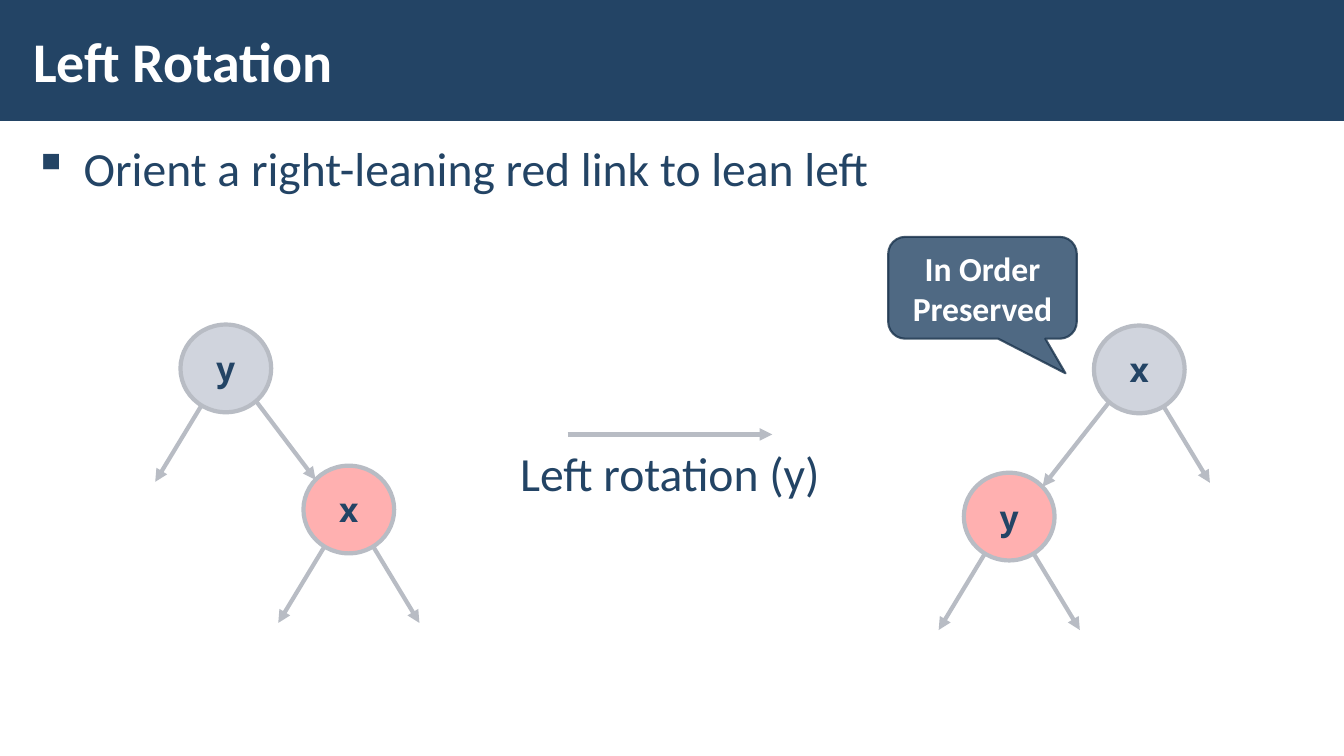
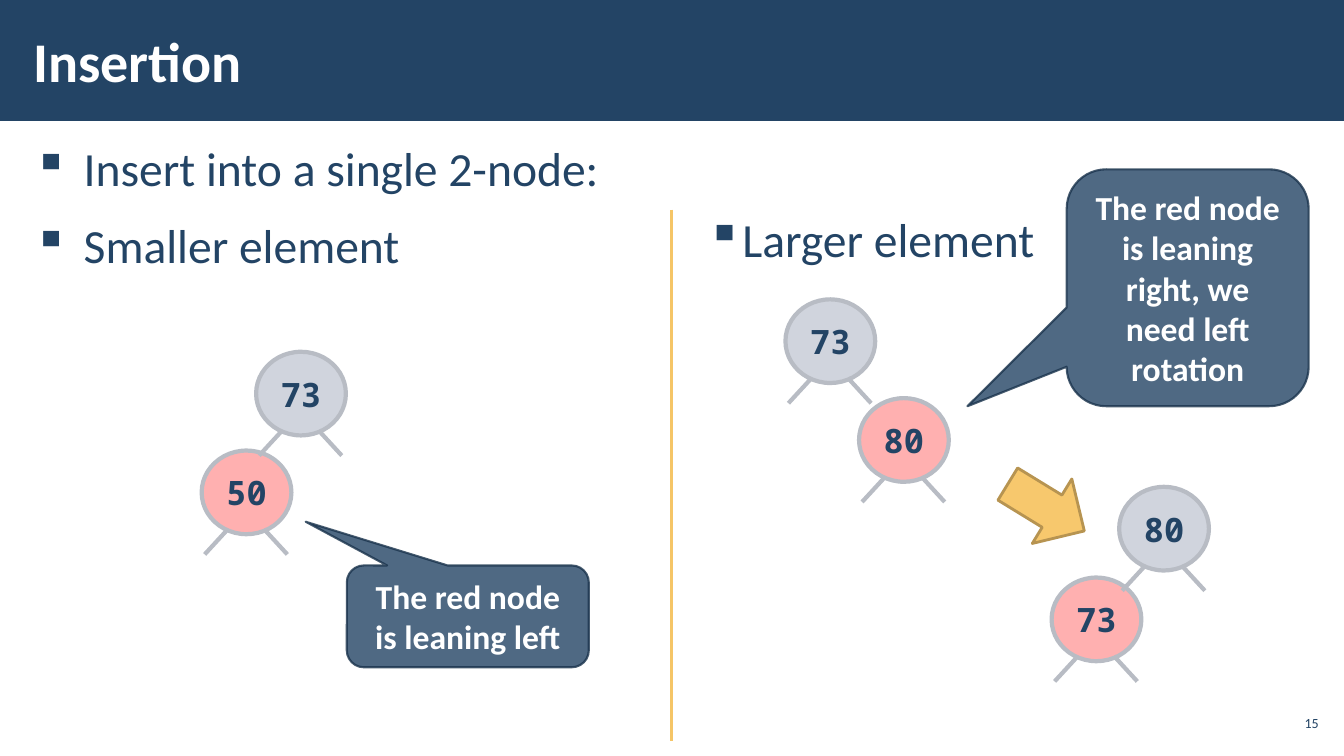
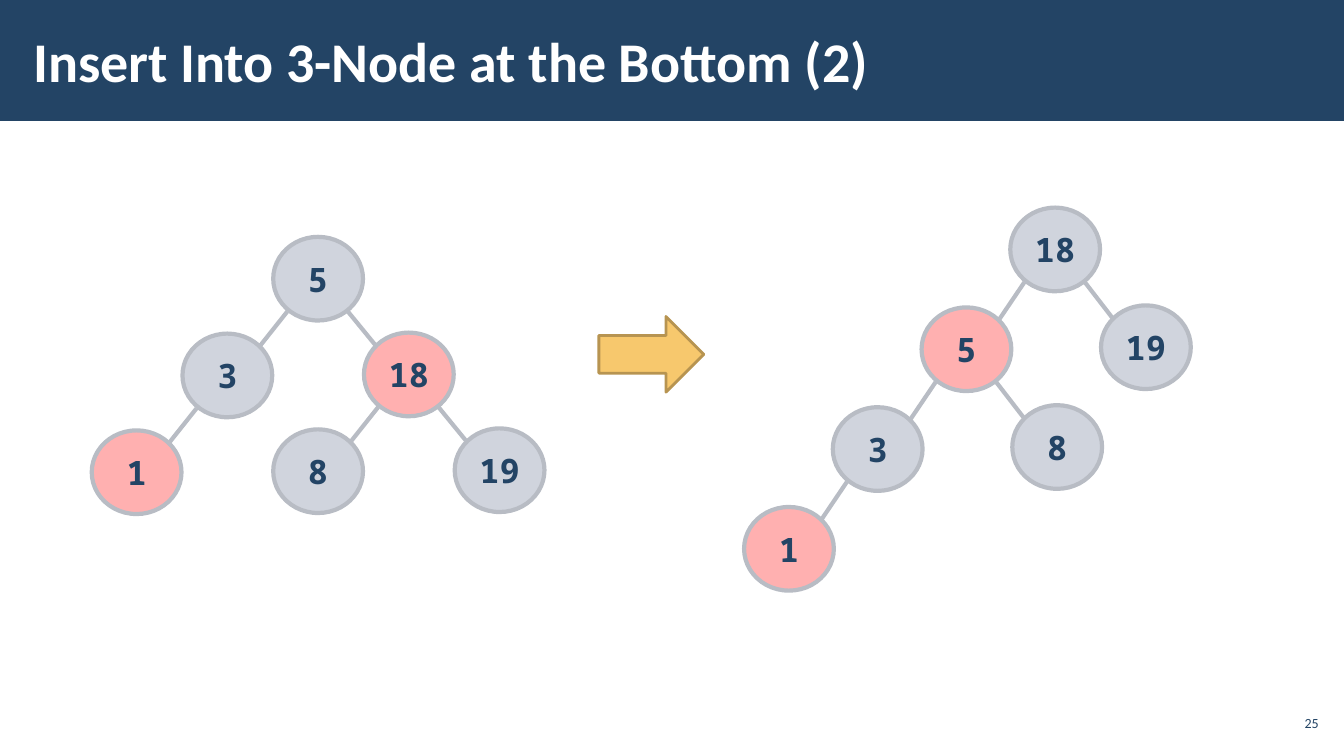
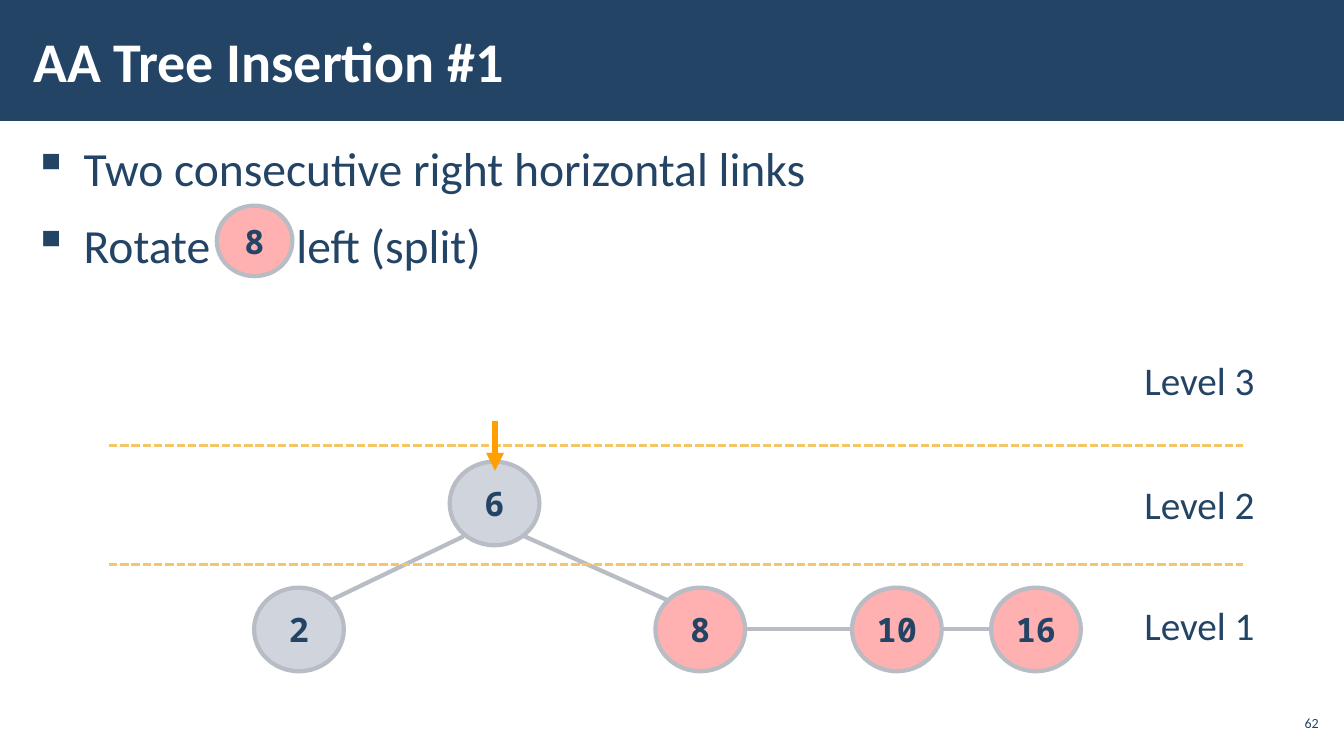
from lxml import etree
from pptx import Presentation
from pptx.dml.color import RGBColor
from pptx.enum import dml, shapes, text
from pptx.oxml.ns import qn
from pptx.util import Pt

PX = 9144  # EMU per px, 100 px to the inch
NAVY, WHITE, GOLD, ORANGE = "234465", "FFFFFF", "F5C567", "FFA000"
GREY, RED, EDGE = "A3ABBC", "FFB0B0", "B8BCC4"
ARROW_FILL, ARROW_LINE, CALLOUT_LINE = "F7C86D", "B79451", "1A334C"
LEFT, CENTER, RIGHT = text.PP_ALIGN.LEFT, text.PP_ALIGN.CENTER, text.PP_ALIGN.RIGHT
TOP, MIDDLE = text.MSO_ANCHOR.TOP, text.MSO_ANCHOR.MIDDLE
BODY = (21, 131, 1292, 569)
OVAL, LARGE_OVAL, SMALL_OVAL = (89, 83), (90, 87), (75, 70)
GAP = 5380  # hundredths of a point added to a space where a node sits in the text


def paint(fill, color, opacity=100):
    fill.solid()
    fill.fore_color.rgb = RGBColor.from_string(color)
    if opacity < 100:
        color_element = fill._xPr.find(qn("a:solidFill"))[0]
        etree.SubElement(color_element, qn("a:alpha"), val=str(opacity * 1000))


def write(paragraph, words, size, color, font="Calibri", bold=False):
    run = paragraph.add_run()
    run.text = words
    run.font.name, run.font.size, run.font.bold = font, Pt(size), bold
    paint(run.font.fill, color)
    return run


# Bullets: box, indent, lines made of runs
# Trees: root place, node size, step of each move, nodes keyed by moves from the root
# Stub: how far a childless link reaches sideways and down
# Lines: colour, width, dashed, arrowhead, end points
# Labels: words, box, size, alignment, line spacing
pages = [
    {
        "title": "Left Rotation",
        "bullets": [(BODY, 50, [["Orient a right-leaning red link to lean left"]])],
        "trees": [
            ((179, 322), LARGE_OVAL, {"R": (122, 140)}, {"": ("y", GREY), "R": ("x", RED)}),
            ((1085, 323), LARGE_OVAL, {"L": (-129, 146)}, {"": ("x", GREY), "L": ("y", RED)}),
        ],
        "stub": (70, 113),
        "arrowheads": True,
        "lines": [(EDGE, 3, False, True, (563, 431, 766, 431))],
        "labels": [("Left rotation (y)", (429, 441, 471, 65), 34, CENTER, 0.95)],
        "callouts": [("In Order Preserved", (881, 235, 187, 101), (0.44, 0.84))],
    },
    {
        "title": "Insertion",
        "number": "15",
        "bullets": [
            (BODY, 50, [["Insert into a single 2-node:"], ["Smaller element"]]),
            ((689, 201, 595, 534), 33, [["Larger element"]]),
        ],
        "trees": [
            ((254, 349), OVAL, {"L": (-54, 98)}, {"": ("73", GREY), "L": ("50", RED)}),
            ((779, 297), OVAL, {"R": (73, 98)}, {"": ("73", GREY), "R": ("80", RED)}),
            ((1110, 483), OVAL, {"L": (-67, 90)}, {"": ("80", GREY), "L": ("73", RED)}),
        ],
        "stub": (41, 62),
        "stubs_only": True,
        "lines": [(GOLD, 2, False, False, (666, 208, 666, 735))],
        "callouts": [
            ("The red node is leaning left", (344, 561, 240, 101), (-0.67, -0.93)),
            ("The red node is leaning right, we need left rotation",
             (1058, 168, 240, 235), (-0.91, 0.5)),
        ],
        "arrows": [((993, 466, 89, 75), 31.5)],
    },
    {
        "title": "Insert Into 3-Node at the Bottom (2)",
        "number": "25",
        "trees": [
            ((271, 235), OVAL, {"L": (-90, 96), "R": (90, 95)}, {
                "": ("5", GREY), "L": ("3", GREY), "R": ("18", RED),
                "LL": ("1", RED), "RL": ("8", GREY), "RR": ("19", GREY),
            }),
            ((1002, 206), OVAL, {"L": (-88, 99), "R": (90, 97)}, {
                "": ("18", GREY), "L": ("5", RED), "R": ("19", GREY),
                "LL": ("3", GREY), "LR": ("8", GREY), "LLL": ("1", RED),
            }),
        ],
        "arrows": [((594, 314, 104, 75), 0)],
    },
    {
        "title": "AA Tree Insertion #1",
        "number": "62",
        "bullets": [(BODY, 50, [
            ["Two consecutive right horizontal links"],
            ["Rotate", " ", "left (split)"],
        ])],
        "trees": [
            ((446, 458), OVAL,
             {"L": (-194, 125), "R": (204, 125), "H": (195, 0), "S": (138, 0)}, {
                 "": ("6", GREY), "L": ("2", GREY), "R": ("8", RED),
                 "RH": ("10", RED), "RHS": ("16", RED),
             }),
            ((215, 204), SMALL_OVAL, {}, {"": ("8", RED)}),
        ],
        "lines": [(GOLD, 2, True, False, (108, y, 1233, y)) for y in (560, 442)]
        + [(ORANGE, 4.25, False, True, (491, 418, 491, 467))],
        "labels": [
            (f"Level {level}", (1123, top, 160, 57), 28, LEFT, 1)
            for level, top in ((1, 593), (2, 473), (3, 349))
        ],
    },
]

presentation = Presentation()
presentation.slide_width, presentation.slide_height = 1333 * PX, 750 * PX

for page in pages:
    slide = presentation.slides.add_slide(presentation.slide_layouts[6])

    # Title band
    band = slide.shapes.add_shape(shapes.MSO_SHAPE.RECTANGLE, 0, 0, 1333 * PX, 120 * PX)
    band.shadow.inherit = False
    paint(band.fill, NAVY)
    band.line.fill.background()

    # Text boxes: box, lines, size, colour, alignment, anchor, margin, spacing, indent
    boxes = [((21, 11, 1040, 97), [[page["title"]]], 40, WHITE, LEFT, MIDDLE, 12, 1, 0)]
    for box, indent, lines in page.get("bullets", []):
        boxes.append((box, lines, 34, NAVY, LEFT, TOP, 12, 1.05, indent))
    for words, box, size, align, spacing in page.get("labels", []):
        boxes.append((box, [[words]], size, NAVY, align, TOP, 12, spacing, 0))
    if "number" in page:
        boxes.append(((1265, 700, 47, 34), [[page["number"]]], 10, NAVY,
                      RIGHT, MIDDLE, 4, 1, 0))

    for box, lines, size, color, align, anchor, margin, spacing, indent in boxes:
        frame = slide.shapes.add_textbox(*(length * PX for length in box)).text_frame
        frame.word_wrap = True
        frame.vertical_anchor = anchor
        frame.margin_left = frame.margin_right = margin * PX
        frame.margin_top = frame.margin_bottom = 4 * PX
        for index, runs in enumerate(lines):
            paragraph = frame.add_paragraph() if index else frame.paragraphs[0]
            paragraph.alignment = align
            if spacing != 1:
                paragraph.line_spacing = spacing
                paragraph.space_before = paragraph.space_after = Pt(6)
            if indent:
                properties = paragraph._p.get_or_add_pPr()
                properties.set("marL", str(indent * PX))
                properties.set("indent", str(-indent * PX))
                etree.SubElement(properties, qn("a:buChar"), char="▪")
            for words in runs:
                run = write(paragraph, words, size, color, bold=color == WHITE)
                if words == " ":
                    run.font._element.set("spc", str(GAP))

    # Tree nodes, and the ends of their links
    links = []
    for root, (width, height), steps, nodes in page["trees"]:
        centers = {}
        for moves, (label, color) in nodes.items():
            left = root[0] + sum(steps[move][0] for move in moves)
            top = root[1] + sum(steps[move][1] for move in moves)
            x, y = centers[moves] = left + width // 2, top + height // 2
            node = slide.shapes.add_shape(
                shapes.MSO_SHAPE.OVAL, left * PX, top * PX, width * PX, height * PX)
            node.shadow.inherit = False
            paint(node.fill, color, 50 if color == GREY else 100)
            paint(node.line.fill, EDGE)
            node.line.width = Pt(3)
            node.text_frame.word_wrap = False
            node.text_frame.vertical_anchor = MIDDLE
            paragraph = node.text_frame.paragraphs[0]
            paragraph.alignment = CENTER
            write(paragraph, label, 24, NAVY, "Noto Sans Mono", True)

            if moves and not page.get("stubs_only"):
                parent_x, parent_y = centers[moves[:-1]]
                side = 1 if x > parent_x else -1
                if y == parent_y:
                    links.append((parent_x + width // 2, y, x - width // 2, y))
                else:
                    links.append((parent_x + 30 * side, parent_y + 33,
                                  x - 33 * side, y - 29))
            if "stub" in page:
                reach, drop = page["stub"]
                for move, side in (("L", -1), ("R", 1)):
                    if page.get("stubs_only") or moves + move not in nodes:
                        links.append((x + (10 + reach // 5) * side, y + 37,
                                      x + reach * side, y + drop))

    # Links, dividers and pointers
    link_style = (EDGE, 3, False, page.get("arrowheads", False))
    for color, width, dashed, arrowhead, points in (
            [(*link_style, link) for link in links] + page.get("lines", [])):
        connector = slide.shapes.add_connector(
            shapes.MSO_CONNECTOR.STRAIGHT, *(point * PX for point in points))
        paint(connector.line.fill, color)
        connector.line.width = Pt(width)
        if dashed:
            connector.line.dash_style = dml.MSO_LINE.SQUARE_DOT
        properties = connector._element.spPr
        if arrowhead:
            etree.SubElement(properties.find(qn("a:ln")), qn("a:tailEnd"), type="triangle")
        etree.SubElement(properties, qn("a:effectLst"))

    # Callouts
    for words, box, tip in page.get("callouts", []):
        callout = slide.shapes.add_shape(
            shapes.MSO_SHAPE.ROUNDED_RECTANGULAR_CALLOUT, *(length * PX for length in box))
        callout.shadow.inherit = False
        callout.adjustments[0], callout.adjustments[1] = tip
        paint(callout.fill, NAVY, 80)
        paint(callout.line.fill, CALLOUT_LINE, 80)
        callout.line.width = Pt(1.5)
        callout.text_frame.word_wrap = True
        callout.text_frame.vertical_anchor = MIDDLE
        paragraph = callout.text_frame.paragraphs[0]
        paragraph.alignment = CENTER
        write(paragraph, words, 24, WHITE, bold=True)

    # Block arrows
    for box, rotation in page.get("arrows", []):
        arrow = slide.shapes.add_shape(
            shapes.MSO_SHAPE.RIGHT_ARROW, *(length * PX for length in box))
        arrow.shadow.inherit = False
        arrow.rotation = rotation
        paint(arrow.fill, ARROW_FILL)
        paint(arrow.line.fill, ARROW_LINE)
        arrow.line.width = Pt(2)

presentation.save("out.pptx")
